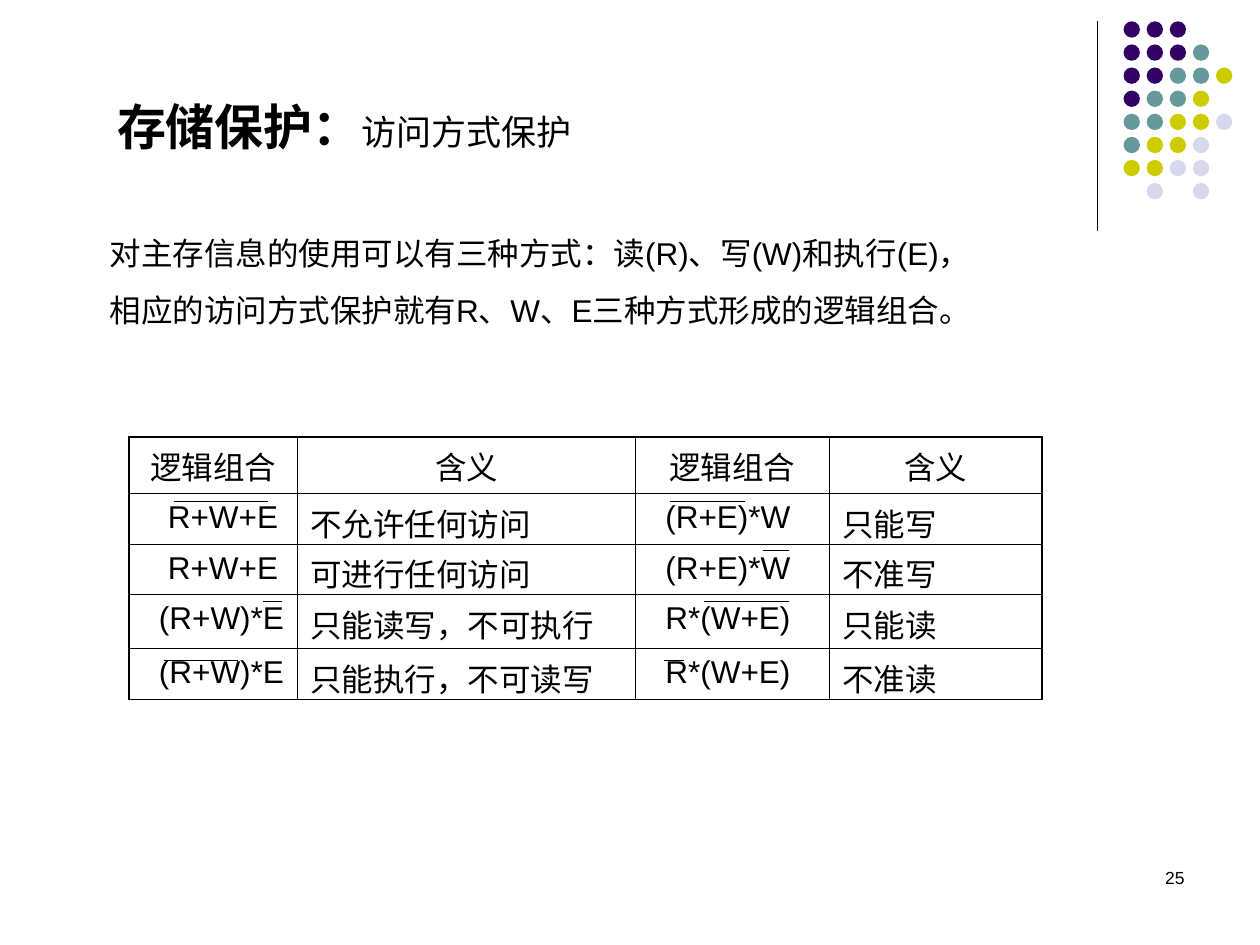
from dataclasses import dataclass

from lxml.etree import SubElement
from pptx import Presentation
from pptx.dml.color import RGBColor as Rgb
from pptx.enum.shapes import MSO_CONNECTOR as Connector, MSO_SHAPE as Shape
from pptx.enum.text import MSO_ANCHOR as Anchor, MSO_AUTO_SIZE as AutoSize, PP_ALIGN as Align
from pptx.oxml import parse_xml
from pptx.oxml.ns import nsdecls, qn
from pptx.util import Cm, Pt


@dataclass(frozen=True)
class Theme:
    font: str = "Arial"
    ink: str = "000000"
    title: int = 28
    subtitle: int = 20
    body: int = 18
    footer: int = 10
    rule: float = 0.75
    inner: float = 0.45
    outer: float = 1.08


THEME = Theme()
DOT_COLORS = {"P": "330066", "T": "669999", "Y": "CCCC00", "L": "D8D8EC"}
DOT_ROWS = ["PPP", "PPPT", "PPTTY", "PTTY", "TTYYL", "TYYL", "YYLL", ".L.L"]
TITLE = ("存储保护：", "访问方式保护")
BODY = [
    "对主存信息的使用可以有三种方式：读(R)、写(W)和执行(E)，",
    "相应的访问方式保护就有R、W、E三种方式形成的逻辑组合。",
]
TABLE = [
    ["逻辑组合", "含义", "逻辑组合", "含义"],
    ["R+W+E", "不允许任何访问", "(R+E)*W", "只能写"],
    ["R+W+E", "可进行任何访问", "(R+E)*W", "不准写"],
    ["(R+W)*E", "只能读写，不可执行", "R*(W+E)", "只能读"],
    ["(R+W)*E", "只能执行，不可读写", "R*(W+E)", "不准读"],
]
COLUMN_WIDTHS = [3.4, 6.81, 3.91, 4.29]
ROW_HEIGHTS = [1.14, 1.02, 1.02, 1.09, 1.02]
OVERLINES = {
    10.11: [(3.51, 5.41), (13.51, 15.01)],
    11.1: [(15.39, 15.9)],
    12.12: [(5.31, 5.69), (14.2, 15.9)],
    13.31: [(3.3, 4.8), (13.39, 13.79)],
}
PAGE_NUMBER = "25"


def style(span, size, bold=False):
    span.font.name = THEME.font
    span.font.size = Pt(size)
    span.font.bold = bold
    span.font.color.rgb = Rgb.from_string(THEME.ink)


def add_line(page, x1, y1, x2, y2):
    line = page.shapes.add_connector(Connector.STRAIGHT, Cm(x1), Cm(y1), Cm(x2), Cm(y2))
    line.line.color.rgb = Rgb.from_string(THEME.ink)
    line.line.width = Pt(THEME.rule)
    SubElement(line._element.spPr, qn("a:effectLst"))


def add_box(page, left, top, width, height):
    box = page.shapes.add_textbox(Cm(left), Cm(top), Cm(width), Cm(height))
    box.text_frame.word_wrap = True
    return box.text_frame


def add_dots(page):
    size, pitch = Cm(0.33), Cm(3.26) // 7
    for row, marks in enumerate(DOT_ROWS):
        for column, mark in enumerate(marks):
            if mark not in DOT_COLORS:
                continue
            dot = page.shapes.add_shape(
                Shape.OVAL, Cm(22.65) + column * pitch, Cm(0.43) + row * pitch, size, size
            )
            dot.shadow.inherit = False
            dot.fill.solid()
            dot.fill.fore_color.rgb = Rgb.from_string(DOT_COLORS[mark])
            dot.line.fill.background()


def add_title(page):
    frame = add_box(page, 2.11, 1.83, 12.65, 1.45)
    frame.auto_size = AutoSize.SHAPE_TO_FIT_TEXT
    para = frame.paragraphs[0]
    for text, size, bold in zip(TITLE, (THEME.title, THEME.subtitle), (True, False)):
        span = para.add_run()
        span.text = text
        style(span, size, bold)


def add_body(page):
    frame = add_box(page, 1.96, 4.22, 18.92, 2.54)
    frame.word_wrap = False
    frame.auto_size = AutoSize.SHAPE_TO_FIT_TEXT
    frame.vertical_anchor = Anchor.MIDDLE
    frame.text = "\n".join(BODY)
    for para in frame.paragraphs:
        para.line_spacing = 1.5
        style(para.runs[0], THEME.body)


def set_borders(cell, row, column):
    outer_sides = {
        "L": column == 0,
        "R": column == len(COLUMN_WIDTHS) - 1,
        "T": row == 0,
        "B": row == len(ROW_HEIGHTS) - 1,
    }
    properties = cell._tc.get_or_add_tcPr()
    for index, (side, is_outer) in enumerate(outer_sides.items()):
        width = Pt(THEME.outer if is_outer else THEME.inner)
        properties.insert(index, parse_xml(
            f'<a:ln{side} {nsdecls("a")} w="{width}"><a:solidFill>'
            f'<a:srgbClr val="{THEME.ink}"/></a:solidFill></a:ln{side}>'
        ))


def add_table(page):
    table = page.shapes.add_table(
        len(ROW_HEIGHTS), len(COLUMN_WIDTHS), Cm(2.6), Cm(8.81),
        Cm(sum(COLUMN_WIDTHS)), Cm(sum(ROW_HEIGHTS)),
    ).table
    table.first_row = table.horz_banding = False
    for column, width in zip(table.columns, COLUMN_WIDTHS):
        column.width = Cm(width)
    for row, height in zip(table.rows, ROW_HEIGHTS):
        row.height = Cm(height)
    for r, texts in enumerate(TABLE):
        for c, text in enumerate(texts):
            cell = table.cell(r, c)
            cell.fill.background()
            set_borders(cell, r, c)
            cell.text_frame.text = text
            para = cell.text_frame.paragraphs[0]
            if r == 0:
                para.alignment = Align.CENTER
            elif c % 2 == 0:
                indent = Cm(0.53 if text == "R+W+E" else 0.35)
                para._p.get_or_add_pPr().set("marL", str(indent))
            style(para.runs[0], THEME.body)


def add_page_number(page):
    frame = add_box(page, 18.21, 17.35, 5.92, 1.27)
    frame.text = PAGE_NUMBER
    para = frame.paragraphs[0]
    para.alignment = Align.RIGHT
    style(para.runs[0], THEME.footer)


def main():
    deck = Presentation()
    deck.slide_width, deck.slide_height = Cm(25.4), Cm(19.05)
    page = deck.slides.add_slide(deck.slide_layouts[6])
    add_line(page, 22.12, 0.43, 22.12, 4.65)
    add_dots(page)
    add_title(page)
    add_body(page)
    add_table(page)
    for y, spans in OVERLINES.items():
        for start, end in spans:
            add_line(page, start, y, end, y)
    add_page_number(page)
    deck.save("out.pptx")


if __name__ == "__main__":
    main()
